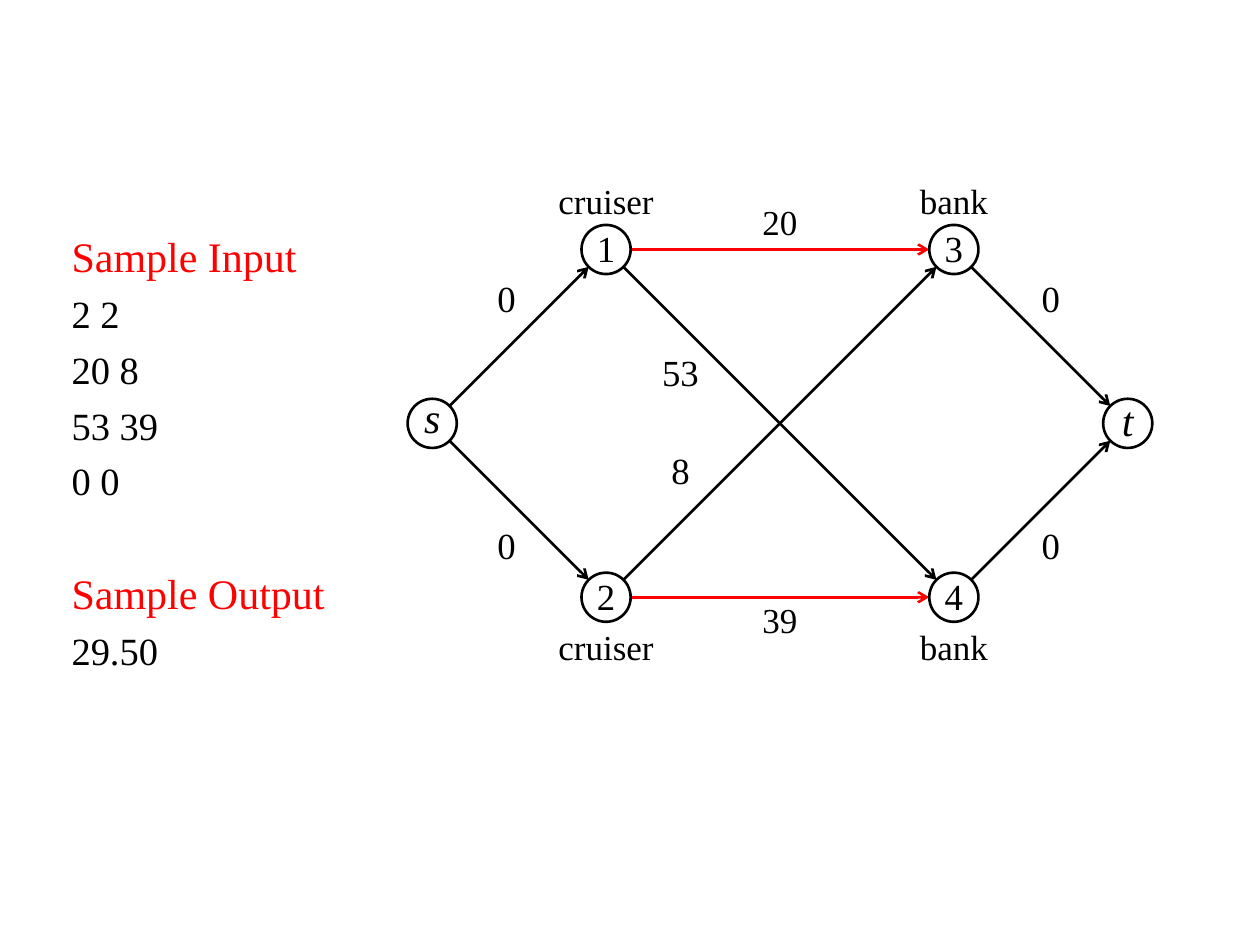
from dataclasses import dataclass
from math import hypot

from lxml import etree
from pptx import Presentation
from pptx.dml.color import RGBColor
from pptx.enum.shapes import MSO_CONNECTOR, MSO_SHAPE
from pptx.enum.text import MSO_ANCHOR, PP_ALIGN
from pptx.oxml.ns import qn
from pptx.util import Inches, Pt

OVAL = MSO_SHAPE.OVAL
LINE = MSO_CONNECTOR.STRAIGHT
MID = MSO_ANCHOR.MIDDLE
MIDDLE = PP_ALIGN.CENTER


@dataclass(frozen=True)
class Theme:
    font: str = "Times New Roman"
    ink: RGBColor = RGBColor(0, 0, 0)
    red: RGBColor = RGBColor(255, 0, 0)
    paper: RGBColor = RGBColor(255, 255, 255)
    head: int = 24
    body: int = 22
    mark: int = 21
    small: int = 20
    line: float = 1.5


THEME = Theme()
SIZE = 0.39
WIDE = 0.79
LEFT, STEP, MEAN = 3.43, 1.38, 3.36
TOP, BASE = MEAN - STEP, MEAN + STEP
CRUISER, BANK, SINK = LEFT + STEP, LEFT + 3 * STEP, LEFT + 4 * STEP
HALF = (CRUISER + BANK) / 2

NODES = {
    "s": (LEFT, MEAN),
    "1": (CRUISER, TOP),
    "2": (CRUISER, BASE),
    "3": (BANK, TOP),
    "4": (BANK, BASE),
    "t": (SINK, MEAN),
}
DROPS = {"s": 0.1, "t": 0.06}
EDGES = ["s1", "s2", "14", "23", "3t", "4t"]
MATCH = ["13", "24"]
COSTS = [
    ("0", 4.02, 0.98),
    ("53", 5.4, 0.39),
    ("0", 8.34, 0.98),
    ("0", 4.02, -0.98),
    ("8", 5.4, -0.39),
    ("0", 8.34, -0.98),
]
NAMES = [("cruiser", CRUISER), ("bank", BANK)]
SAMPLE = [
    ("Sample Input", True, 0),
    ("2 2", False, 5.4),
    ("20 8", False, 5.4),
    ("53 39", False, 5.4),
    ("0 0", False, 5.4),
    ("Sample Output", True, 36.6),
    ("29.50", False, 5.4),
]


def style(para, size, color=THEME.ink, slant=False):
    font = para.font
    font.name = THEME.font
    font.size = Pt(size)
    font.color.rgb = color
    font.italic = slant


def center(shape, text, size, drop=0, slant=False):
    frame = shape.text_frame
    frame.margin_left = frame.margin_right = frame.margin_top = 0
    frame.margin_bottom = Inches(drop)
    frame.vertical_anchor = MID
    frame.word_wrap = False
    para = frame.paragraphs[0]
    para.text = text
    para.alignment = MIDDLE
    style(para, size, slant=slant)


def place(x, y, wide, high):
    return [Inches(n) for n in (x - wide / 2, y - high / 2, wide, high)]


def add_node(slide, name):
    shape = slide.shapes.add_shape(OVAL, *place(*NODES[name], SIZE, SIZE))
    shape.shadow.inherit = False
    shape.fill.solid()
    shape.fill.fore_color.rgb = THEME.paper
    shape.line.color.rgb = THEME.ink
    shape.line.width = Pt(THEME.line)
    slant = name in DROPS
    size = THEME.head if slant else THEME.mark
    center(shape, name, size, DROPS.get(name, 0.02), slant)


def add_edge(slide, pair, color):
    (x1, y1), (x2, y2) = (NODES[name] for name in pair)
    ratio = SIZE / 2 / hypot(x2 - x1, y2 - y1)
    dx, dy = (x2 - x1) * ratio, (y2 - y1) * ratio
    ends = [Inches(n) for n in (x1 + dx, y1 + dy, x2 - dx, y2 - dy)]
    edge = slide.shapes.add_connector(LINE, *ends)
    edge.line.color.rgb = color
    edge.line.width = Pt(THEME.line)
    tip = etree.SubElement(edge.line._get_or_add_ln(), qn("a:tailEnd"))
    tip.set("type", "arrow")
    etree.SubElement(edge._element.spPr, qn("a:effectLst"))


def add_label(slide, text, x, y, size, drop=0):
    box = slide.shapes.add_textbox(*place(x, y, WIDE, SIZE))
    center(box, text, size, drop)


def add_sample(slide):
    area = [Inches(n) for n in (0.47, 1.78, 2.36, 3.74)]
    frame = slide.shapes.add_textbox(*area).text_frame
    frame.word_wrap = True
    for i, (text, head, gap) in enumerate(SAMPLE):
        para = frame.add_paragraph() if i else frame.paragraphs[0]
        para.text = text
        para.space_before = Pt(gap)
        if head:
            style(para, THEME.head, THEME.red)
        else:
            style(para, THEME.body)


def main():
    deck = Presentation()
    deck.slide_width, deck.slide_height = Inches(10), Inches(7.5)
    slide = deck.slides.add_slide(deck.slide_layouts[6])
    add_sample(slide)
    for pair in EDGES:
        add_edge(slide, pair, THEME.ink)
    for pair in MATCH:
        add_edge(slide, pair, THEME.red)
    for name in NODES:
        add_node(slide, name)
    for text, x, rise in COSTS:
        add_label(slide, text, x, MEAN - rise, THEME.mark, 0.04)
    add_label(slide, "20", HALF, TOP - 0.2, THEME.small, 0.04)
    add_label(slide, "39", HALF, BASE + 0.2, THEME.small, 0.04)
    for text, x in NAMES:
        add_label(slide, text, x, TOP - SIZE, THEME.small)
        add_label(slide, text, x, BASE + SIZE, THEME.small)
    deck.save("out.pptx")


if __name__ == "__main__":
    main()
